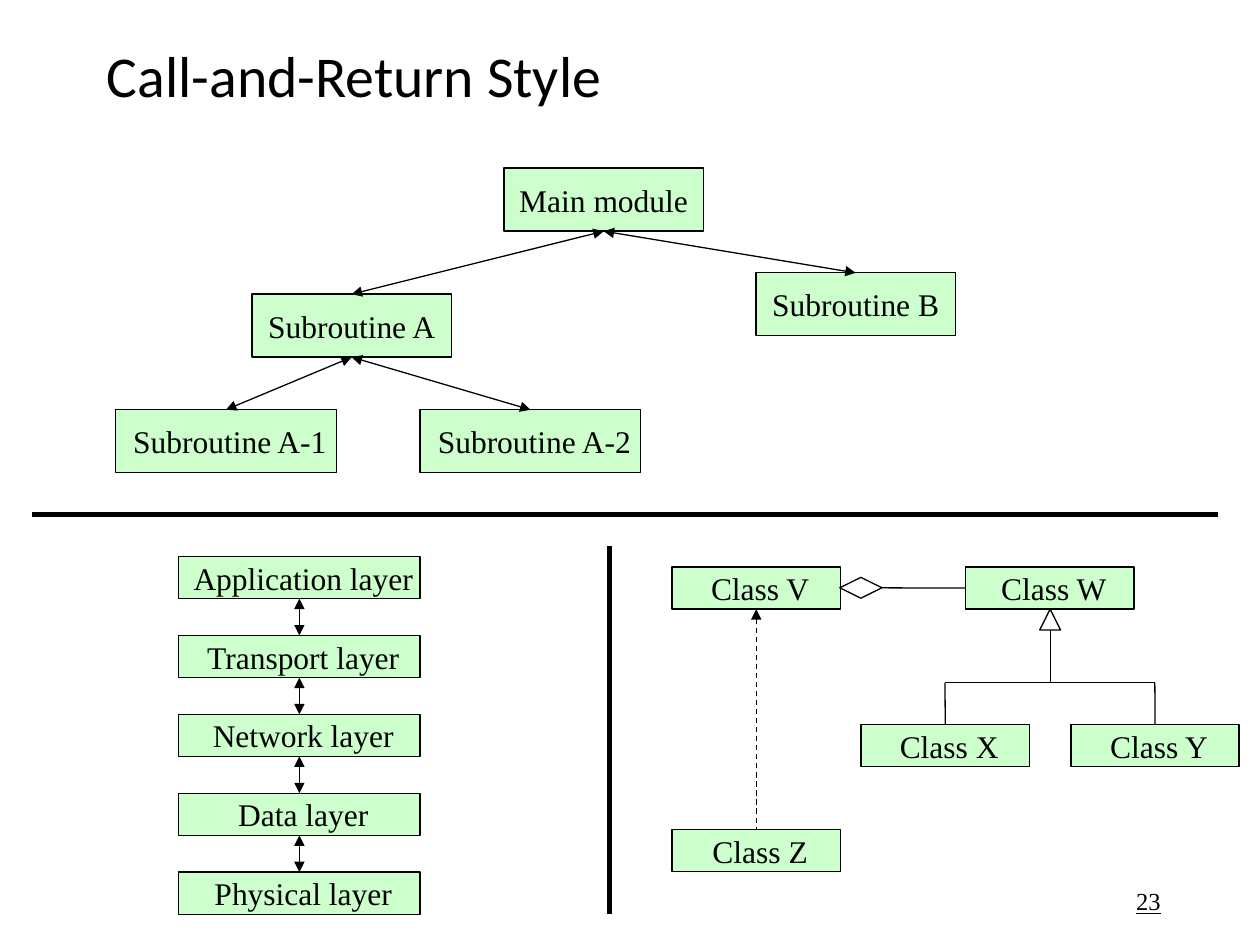
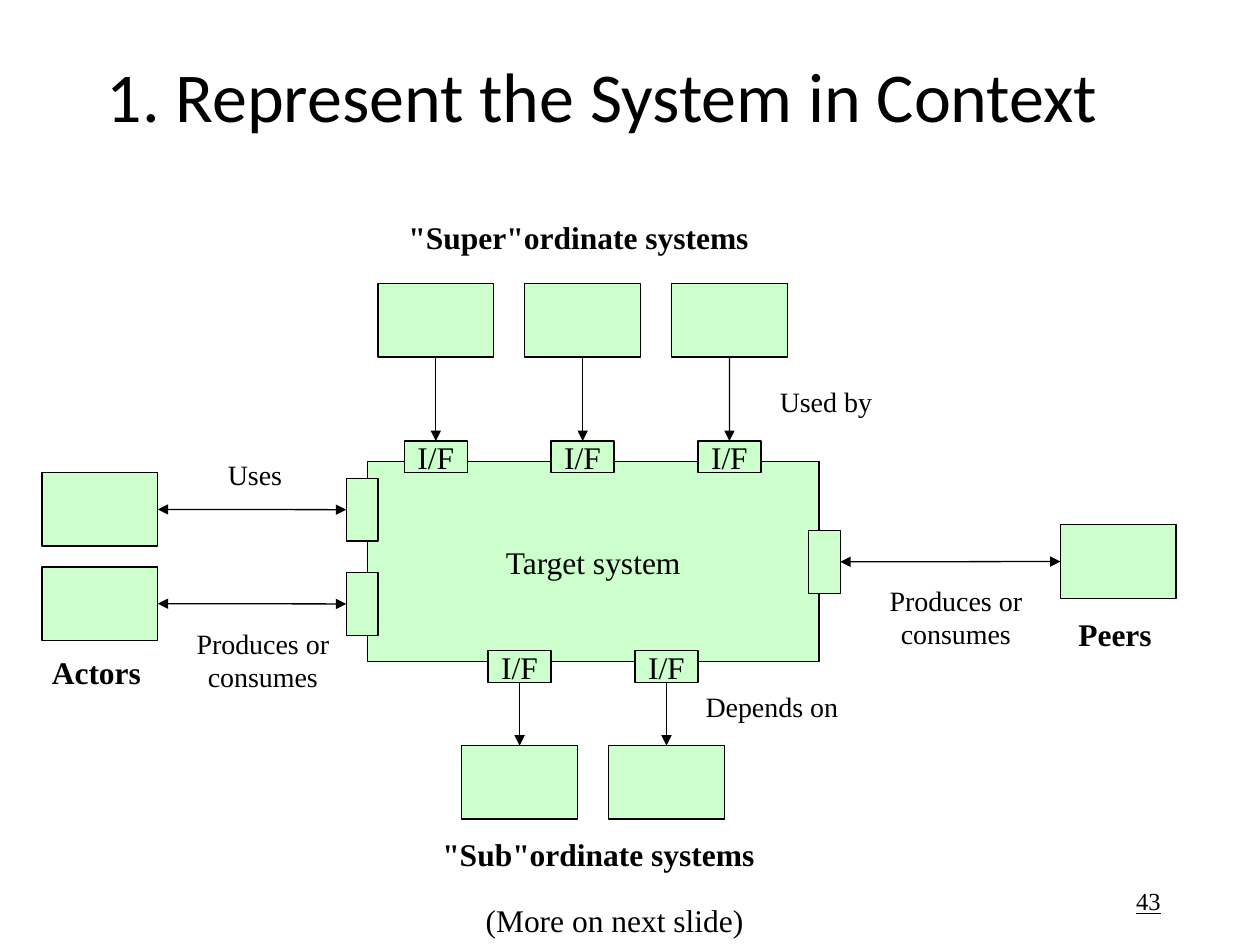
from lxml.etree import SubElement
from pptx import Presentation
from pptx.dml.color import RGBColor
from pptx.enum.dml import MSO_LINE
from pptx.enum.shapes import MSO_CONNECTOR, MSO_SHAPE
from pptx.enum.text import MSO_ANCHOR, MSO_AUTO_SIZE, PP_ALIGN
from pptx.oxml.ns import qn
from pptx.util import Cm, Pt

TOP, LEFT, BOTTOM, RIGHT = range(4)


def color(value):
    return RGBColor.from_string(value)


class Diagram:
    ink = "000000"
    green = "CCFFCC"
    title_font = "Calibri"
    text_font = "Times New Roman"

    def __init__(self):
        self.deck = Presentation()
        self.deck.slide_width = Cm(25.4)
        self.deck.slide_height = Cm(19.05)
        self.page = None

    def new_page(self, title, size, top, number):
        self.page = self.deck.slides.add_slide(self.deck.slide_layouts[5])
        box = self.page.shapes.title
        box.left, box.top, box.width, box.height = Cm(1.9), Cm(top), Cm(21.59), Cm(3.18)
        self.fill_text(box, title, size, self.title_font, PP_ALIGN.LEFT)
        box.text_frame.word_wrap = True
        box.text_frame.paragraphs[0].line_spacing = 0.9
        footer = self.page.shapes.add_textbox(Cm(17.93), Cm(17.65), Cm(5.72), Cm(1.02))
        self.fill_text(footer, number, 14, align=PP_ALIGN.RIGHT)
        footer.text_frame.word_wrap = True
        footer.text_frame.paragraphs[0].font.underline = True

    def fill_text(self, box, text, size=18, font=None, align=PP_ALIGN.CENTER, bold=False):
        frame = box.text_frame
        frame.text = text
        frame.word_wrap = False
        frame.auto_size = MSO_AUTO_SIZE.NONE
        frame.vertical_anchor = MSO_ANCHOR.MIDDLE
        for para in frame.paragraphs:
            para.alignment = align
            para.font.name = font or self.text_font
            para.font.size = Pt(size)
            para.font.bold = bold
            para.font.color.rgb = color(self.ink)

    def shape(self, kind, left, top, width, height):
        shape = self.page.shapes.add_shape(kind, Cm(left), Cm(top), Cm(width), Cm(height))
        shape.shadow.inherit = False
        shape.fill.background()
        shape.line.color.rgb = color(self.ink)
        shape.line.width = Pt(0.75)
        return shape

    def block(self, left, top, width, height, text=None, indent=0.25):
        box = self.shape(MSO_SHAPE.RECTANGLE, left, top, width, height)
        box.fill.solid()
        box.fill.fore_color.rgb = color(self.green)
        if text:
            self.fill_text(box, text)
            box.text_frame.margin_left = Cm(indent)
        return box

    def label(self, left, top, width, height, text, size=16, bold=False):
        box = self.page.shapes.add_textbox(Cm(left), Cm(top), Cm(width), Cm(height))
        self.fill_text(box, text, size, bold=bold)
        box.text_frame.vertical_anchor = MSO_ANCHOR.TOP
        box.text_frame.auto_size = MSO_AUTO_SIZE.SHAPE_TO_FIT_TEXT

    def line(self, x1, y1, x2, y2, weight=0.75):
        line = self.page.shapes.add_connector(
            MSO_CONNECTOR.STRAIGHT, Cm(x1), Cm(y1), Cm(x2), Cm(y2))
        line.line.color.rgb = color(self.ink)
        line.line.width = Pt(weight)
        SubElement(line._element.spPr, qn("a:effectLst"))
        return line

    def join(self, start, start_side, end, end_side, arrows=("headEnd", "tailEnd"), dashed=False):
        line = self.line(0, 0, 0, 0)
        line.begin_connect(start, start_side)
        line.end_connect(end, end_side)
        if dashed:
            line.line.dash_style = MSO_LINE.DASH
        outline = line._element.spPr.find(qn("a:ln"))
        for arrow in arrows:
            SubElement(outline, qn(f"a:{arrow}"), type="triangle")


def call_and_return(diagram):
    diagram.new_page("Call-and-Return Style", 33, 0, "23")

    main_module = diagram.block(10.16, 3.39, 4.02, 1.27, "Main module")
    routine_a = diagram.block(5.08, 5.93, 4.02, 1.27, "Subroutine A")
    routine_b = diagram.block(15.24, 5.5, 4.02, 1.27, "Subroutine B")
    routine_a1 = diagram.block(2.33, 8.26, 4.45, 1.27, "Subroutine A-1", 0.41)
    routine_a2 = diagram.block(8.47, 8.26, 4.45, 1.27, "Subroutine A-2", 0.41)
    for caller, called in ((main_module, routine_a), (main_module, routine_b),
                           (routine_a, routine_a1), (routine_a, routine_a2)):
        diagram.join(caller, BOTTOM, called, TOP)

    diagram.line(0.64, 10.37, 24.55, 10.37, 3)
    diagram.line(12.28, 11.01, 12.28, 18.42, 3)

    names = ("Application", "Transport", "Network", "Data", "Physical")
    layers = [diagram.block(3.6, 11.22 + 1.59 * row, 4.87, 0.85, f"{name} layer", 0.41)
              for row, name in enumerate(names)]
    for upper, lower in zip(layers, layers[1:]):
        diagram.join(upper, BOTTOM, lower, TOP)

    places = {"V": (13.55, 11.43), "W": (19.47, 11.43), "X": (17.36, 14.61),
              "Y": (21.59, 14.61), "Z": (13.55, 16.72)}
    classes = {name: diagram.block(left, top, 3.39, 0.85, f"Class {name}", 0.41)
               for name, (left, top) in places.items()}
    diamond = diagram.shape(MSO_SHAPE.DIAMOND, 16.93, 11.64, 0.85, 0.42)
    diagram.join(diamond, RIGHT, classes["W"], LEFT, arrows=())
    diagram.join(classes["V"], BOTTOM, classes["Z"], TOP, arrows=("headEnd",), dashed=True)

    diagram.shape(MSO_SHAPE.ISOSCELES_TRIANGLE, 20.96, 12.28, 0.42, 0.42)
    branch_y = 13.76
    child_centers = [places[name][0] + 1.69 for name in "XY"]
    diagram.line(21.17, 12.7, 21.17, branch_y)
    diagram.line(child_centers[0], branch_y, child_centers[1], branch_y)
    for name, center in zip("XY", child_centers):
        branch = diagram.line(center, 14.61, center, branch_y)
        branch.begin_connect(classes[name], TOP)


def system_in_context(diagram):
    diagram.new_page("1. Represent the System in Context", 40, 0.42, "43")
    width, height, step = 2.33, 1.48, 2.96

    diagram.block(7.41, 9.31, 9.1, 4.02, "Target system")

    for column in range(3):
        left = 7.62 + step * column
        system = diagram.block(left, 5.72, width, height)
        interface = diagram.block(left + 0.53, 8.89, 1.27, 0.64, "I/F")
        diagram.join(system, BOTTOM, interface, TOP, arrows=("tailEnd",))

    for column in range(2):
        left = 9.31 + step * column
        system = diagram.block(left, 15.03, width, height)
        interface = diagram.block(left + 0.53, 13.12, 1.27, 0.64, "I/F")
        diagram.join(interface, BOTTOM, system, TOP, arrows=("tailEnd",))

    for left, top, port_left, side, port_side in (
            (0.85, 9.53, 6.98, RIGHT, LEFT),
            (0.85, 11.43, 6.98, RIGHT, LEFT),
            (21.38, 10.58, 16.3, LEFT, RIGHT)):
        partner = diagram.block(left, top, width, height)
        port = diagram.block(port_left, top + 0.11, 0.64, 1.27)
        diagram.join(port, port_side, partner, side)

    for left, top, label_width, text in (
            (0.79, 13.03, 2.31, "Actors"),
            (21.49, 12.27, 1.98, "Peers"),
            (7.98, 4.27, 7.37, '"Super"ordinate systems'),
            (8.66, 16.71, 6.81, '"Sub"ordinate systems')):
        diagram.label(left, top, label_width, 1.02, text, 18, True)

    for left, top, label_width, text in (
            (15.47, 7.62, 2.36, "Used by"),
            (13.97, 13.77, 3.18, "Depends on"),
            (4.34, 9.09, 1.6, "Uses")):
        diagram.label(left, top, label_width, 0.94, text)

    for left, top in ((17.68, 11.63), (3.71, 12.5)):
        diagram.label(left, top, 3.18, 1.63, "Produces or\nconsumes")
    diagram.label(9.53, 18.03, 5.72, 1.02, "(More on next slide)", 18)


def main():
    diagram = Diagram()
    call_and_return(diagram)
    system_in_context(diagram)
    diagram.deck.save("out.pptx")


if __name__ == "__main__":
    main()
